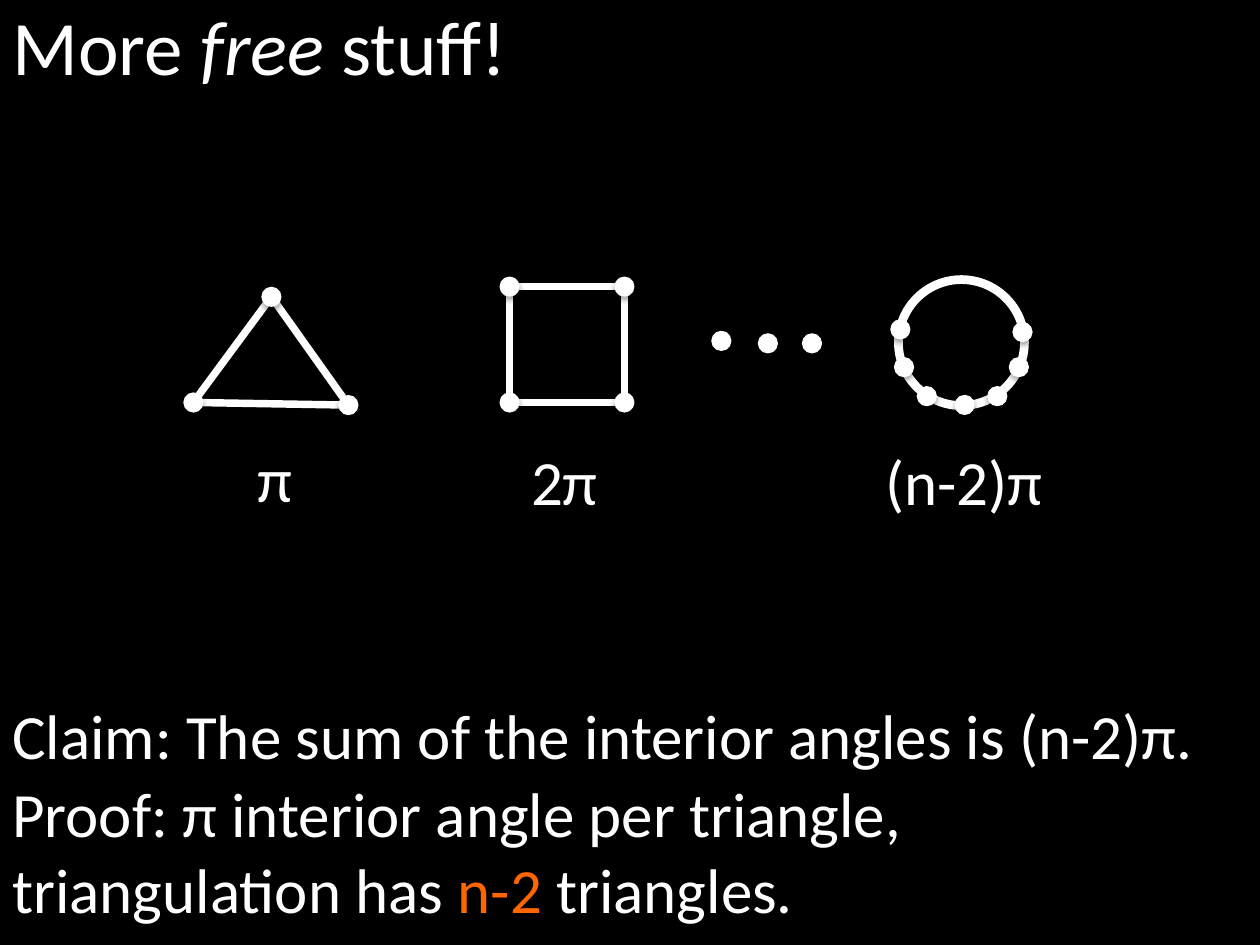
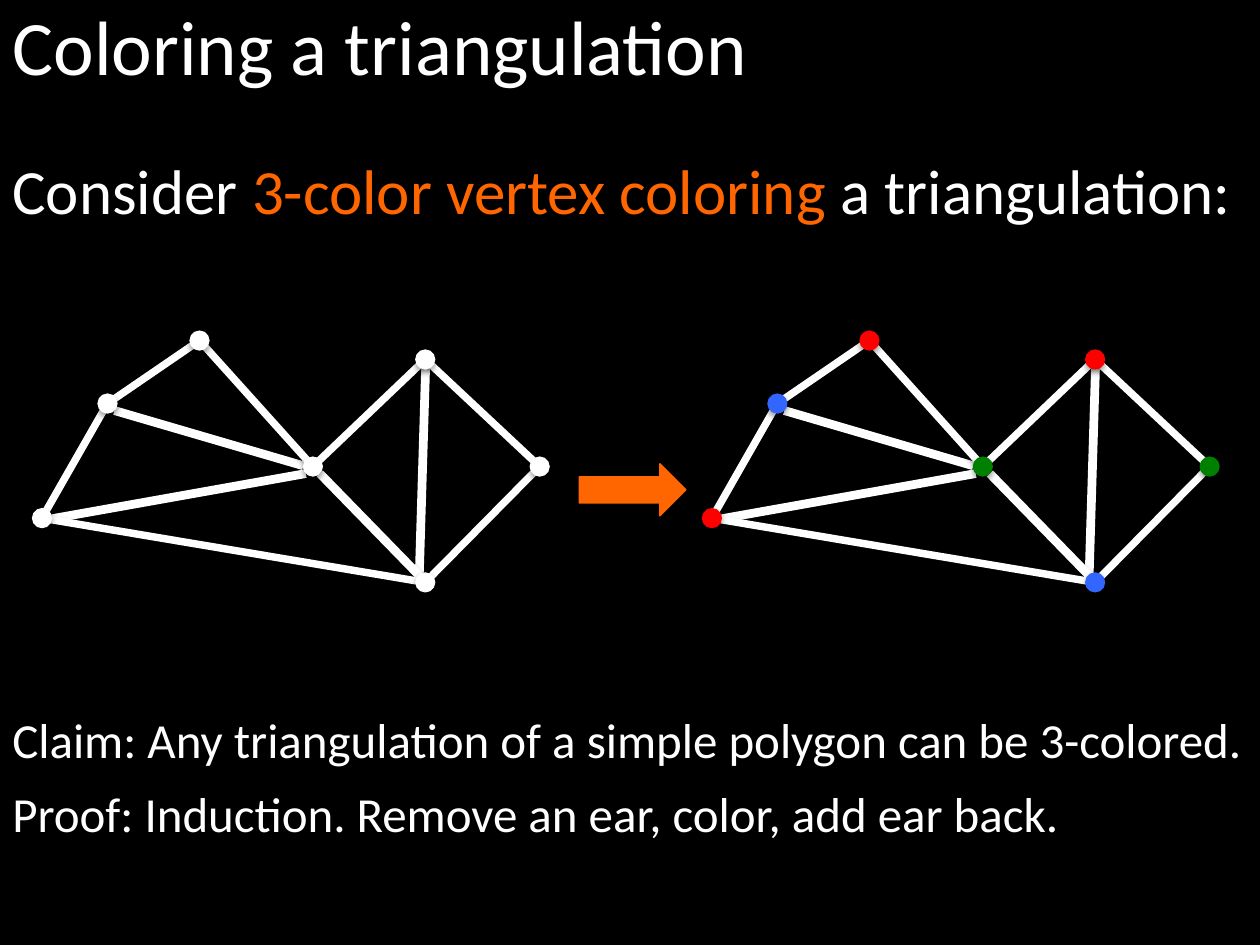
from lxml.etree import SubElement
from pptx import Presentation
from pptx.dml.color import RGBColor
from pptx.enum.shapes import MSO_CONNECTOR, MSO_SHAPE
from pptx.enum.text import MSO_AUTO_SIZE, PP_ALIGN
from pptx.oxml.ns import qn
from pptx.util import Pt

COLORS = {
    "background": "000000",
    "white": "FFFFFF",
    "orange": "FF6600",
    "red": "FF0000",
    "blue": "3366FF",
    "green": "008000",
}
FONT = "Calibri"
DOT_SIZE = 10.8
EDGE_WIDTH = 4.25
DIAGONAL_WIDTH = 5
HANGING_INDENT = 58.3

VERTICES = {
    "foot": (0, 101.5),
    "west": (37.4, 36),
    "peak": (90, 0),
    "hub": (154.8, 72),
    "roof": (219, 10.8),
    "east": (284.4, 72),
    "base": (219, 138.2),
}
EDGES = [
    ("west", "peak"), ("peak", "hub"), ("hub", "roof"), ("west", "foot"),
    ("foot", "base"), ("base", "east"), ("roof", "east"),
]
DIAGONALS = [
    ((41.4, 40), (149.4, 71.6)),
    ((5.4, 101.9), (150.8, 76)),
    ((215.6, 134.3), (219.2, 16.2)),
    ((215.6, 134.3), (158.8, 76)),
]
THREE_COLORING = {
    "foot": "red", "west": "blue", "peak": "red", "hub": "green",
    "roof": "red", "east": "green", "base": "blue",
}


def color(name):
    return RGBColor.from_string(COLORS[name])


def add_shadow(item, opacity, distance):
    effects = SubElement(item._element.spPr, qn("a:effectLst"))
    shadow = SubElement(effects, qn("a:outerShdw"), blurRad=str(Pt(3.15)),
                        dist=str(Pt(distance)), dir="5400000", rotWithShape="0")
    black = SubElement(shadow, qn("a:srgbClr"), val=COLORS["background"])
    SubElement(black, qn("a:alpha"), val=str(opacity * 1000))


def add_figure(page, preset, left, top, width, height, fill, line="white", weight=0.75):
    figure = page.shapes.add_shape(preset, Pt(left), Pt(top), Pt(width), Pt(height))
    if fill:
        figure.fill.solid()
        figure.fill.fore_color.rgb = color(fill)
    else:
        figure.fill.background()
    figure.line.color.rgb = color(line)
    figure.line.width = Pt(weight)
    add_shadow(figure, 35, 1.8)


def add_dot(page, x, y, name="white"):
    add_figure(page, MSO_SHAPE.OVAL, x - DOT_SIZE / 2, y - DOT_SIZE / 2,
               DOT_SIZE, DOT_SIZE, name, name)


def add_edge(page, left, top, start, end, weight=EDGE_WIDTH):
    edge = page.shapes.add_connector(
        MSO_CONNECTOR.STRAIGHT, Pt(left + start[0]), Pt(top + start[1]),
        Pt(left + end[0]), Pt(top + end[1]))
    edge.line.color.rgb = color("white")
    edge.line.width = Pt(weight)
    add_shadow(edge, 38, 1.6)


def add_text(page, left, top, width, height, size, paragraphs,
             centered=False, hanging=False):
    box = page.shapes.add_textbox(Pt(left), Pt(top), Pt(width), Pt(height))
    frame = box.text_frame
    frame.word_wrap = not centered
    frame.auto_size = MSO_AUTO_SIZE.SHAPE_TO_FIT_TEXT
    for number, spans in enumerate(paragraphs):
        paragraph = frame.add_paragraph() if number else frame.paragraphs[0]
        if centered:
            paragraph.alignment = PP_ALIGN.CENTER
        if hanging:
            properties = paragraph._p.get_or_add_pPr()
            properties.set("marL", str(Pt(HANGING_INDENT)))
            properties.set("indent", str(-Pt(HANGING_INDENT)))
        paragraph.font.name = FONT
        paragraph.font.size = Pt(size)
        paragraph.font.color.rgb = color("white")
        for text, style in spans:
            span = paragraph.add_run()
            span.text = text
            if style == "italic":
                span.font.italic = True
            elif style:
                span.font.color.rgb = color(style)


def add_page(deck, title):
    page = deck.slides.add_slide(deck.slide_layouts[6])
    page.background.fill.solid()
    page.background.fill.fore_color.rgb = color("background")
    add_text(page, 0, -4.3, 670.3, 60.5, 44, [title])
    return page


def add_statement(page, top, height, size, *paragraphs, width=720):
    add_text(page, 0, top, width, height, size, paragraphs, hanging=True)


def add_angle_sum(page, left, top, width, text):
    add_text(page, left, top, width, 51, 36, [[(text, None)]], centered=True)


def add_polygon(page, left, top, corners):
    for start, end in zip(corners, corners[1:] + corners[:1]):
        add_edge(page, left, top, start, end)
    for x, y in corners:
        add_dot(page, left + x, top + y)


def add_many_sided_polygon(page, left, top):
    add_figure(page, MSO_SHAPE.OVAL, left, top, 72, 72, None, weight=5)
    corners = [(37.8, 71.6), (16.2, 66.6), (56.5, 66.6), (3.2, 50),
               (68.8, 50), (1.1, 28.4), (70.9, 29.9)]
    for x, y in corners:
        add_dot(page, left + x, top + y)


def add_triangulation(page, left, top, coloring):
    for start, end in DIAGONALS:
        add_edge(page, left, top, start, end, DIAGONAL_WIDTH)
    for start, end in EDGES:
        add_edge(page, left, top, VERTICES[start], VERTICES[end])
    for name, (x, y) in VERTICES.items():
        add_dot(page, left + x, top + y, coloring.get(name, "white"))


def build_angle_sum_page(deck):
    page = add_page(deck, [("More ", None), ("free", "italic"), (" stuff!", None)])
    add_polygon(page, 110.5, 169.6, [(0, 60.4), (44.6, 0), (88.6, 61.9)])
    add_polygon(page, 291.2, 163.8, [(0, 0), (65.6, 0), (65.6, 66.2), (0, 66.2)])
    add_many_sided_polygon(page, 513.4, 159.8)
    for x, y in [(412.2, 194.8), (438.8, 196.2), (464, 196.2)]:
        add_dot(page, x, y)
    add_angle_sum(page, 129.6, 247.7, 54.7, "π")
    add_angle_sum(page, 284.4, 249.1, 76.3, "2π")
    add_angle_sum(page, 490.3, 249.1, 121, "(n-2)π")
    add_statement(page, 394.6, 51, 36,
                  [("Claim: The sum of the interior angles is (n-2)π.", None)])
    add_statement(page, 439.2, 94.3, 36,
                  [("Proof: π interior angle per triangle,", None)],
                  [("triangulation has ", None), ("n-2 ", "orange"),
                   ("triangles.", None)], width=732.2)


def build_coloring_page(deck):
    page = add_page(deck, [("Coloring a triangulation", None)])
    add_statement(page, 82.8, 51, 36,
                  [("Consider ", None), ("3-color vertex coloring", "orange"),
                   (" a triangulation:", None)])
    add_triangulation(page, 24, 194.6, {})
    add_triangulation(page, 406.8, 194.6, THREE_COLORING)
    add_figure(page, MSO_SHAPE.RIGHT_ARROW, 331, 265, 61, 29.8, "orange", "orange")
    add_statement(page, 401.8, 41, 28,
                  [("Claim: Any triangulation of a simple polygon can be 3-colored.", None)])
    add_statement(page, 444.2, 41, 28,
                  [("Proof: Induction. Remove an ear, color, add ear back.", None)])


def main():
    deck = Presentation()
    deck.slide_width = Pt(720)
    deck.slide_height = Pt(540)
    build_angle_sum_page(deck)
    build_coloring_page(deck)
    deck.save("out.pptx")


if __name__ == "__main__":
    main()
